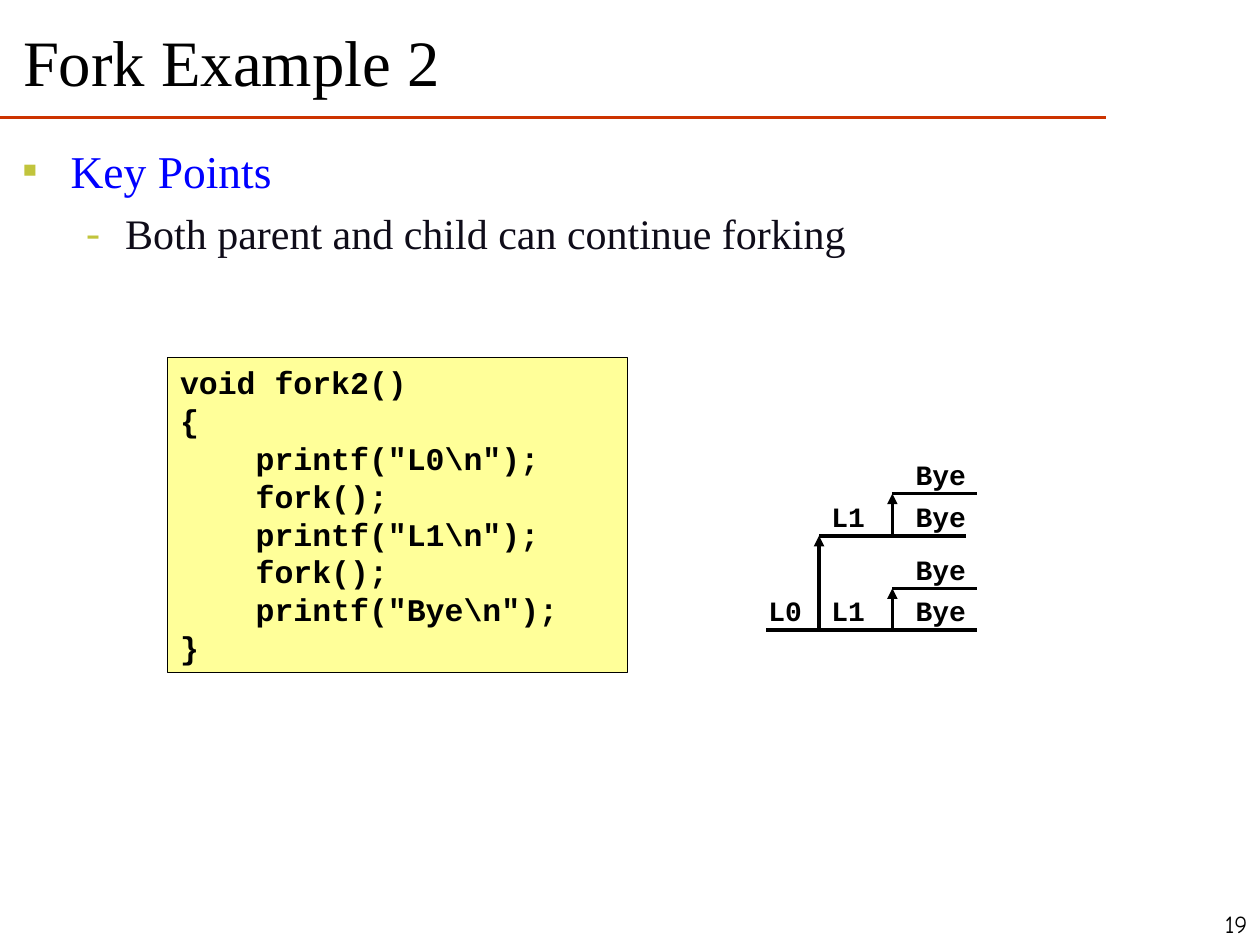
from lxml.etree import SubElement
from pptx import Presentation
from pptx.dml.color import RGBColor
from pptx.enum.shapes import MSO_CONNECTOR, MSO_SHAPE
from pptx.enum.text import MSO_ANCHOR, MSO_AUTO_SIZE, PP_ALIGN
from pptx.oxml.ns import qn
from pptx.util import Cm, Pt

BLACK = RGBColor(0x00, 0x00, 0x00)
BLUE = RGBColor(0x00, 0x00, 0xFF)
INK = RGBColor(0x0F, 0x0C, 0x19)
RED = RGBColor(0xCC, 0x33, 0x00)
OLIVE = RGBColor(0xC1, 0xC4, 0x3C)
YELLOW = RGBColor(0xFF, 0xFF, 0x99)

CODE = r"""void fork2()
{
    printf("L0\n");
    fork();
    printf("L1\n");
    fork();
    printf("Bye\n");
}"""


def style_text(frame, font_name, size, color=BLACK, bold=False, align=PP_ALIGN.LEFT):
    for para in frame.paragraphs:
        para.alignment = align
        for span in para.runs:
            span.font.name = font_name
            span.font.size = Pt(size)
            span.font.bold = bold
            span.font.color.rgb = color


def draw_line(x1, y1, x2, y2, color=BLACK, arrow=False):
    line = page.shapes.add_connector(
        MSO_CONNECTOR.STRAIGHT, Cm(x1), Cm(y1), Cm(x2), Cm(y2))
    line.line.color.rgb = color
    line.line.width = Pt(2)
    if arrow:
        SubElement(line.line._get_or_add_ln(), qn("a:tailEnd"), type="triangle")
    SubElement(line._element.spPr, qn("a:effectLst"))


deck = Presentation()
deck.slide_width, deck.slide_height = Cm(25.4), Cm(19.05)
page = deck.slides.add_slide(deck.slide_layouts[1])

# Title and the rule below it
title = page.shapes.title
title.left, title.top, title.width, title.height = Cm(0.21), Cm(0.49), Cm(24.56), Cm(1.65)
title.text_frame.text = "Fork Example 2"
title.text_frame.vertical_anchor = MSO_ANCHOR.BOTTOM
title.text_frame.auto_size = MSO_AUTO_SIZE.NONE
style_text(title.text_frame, "Times New Roman", 37)
draw_line(0, 2.37, 22.3, 2.37, RED)

# Bullet list
body = page.placeholders[1]
body.left, body.top, body.width, body.height = Cm(0.21), Cm(2.75), Cm(24.77), Cm(15.67)
body.text_frame.text = "Key Points\nBoth parent and child can continue forking"
body.text_frame.auto_size = MSO_AUTO_SIZE.NONE
style_text(body.text_frame, "Times New Roman", 24, INK)
bullets = [  # level, size, color, space before, margin, hanging, mark, mark size
    (0, 26, BLUE, 6.5, 0.96, 0.96, "■", 50),
    (1, 24, INK, 6, 2.06, 0.79, "-", 100),
]
for para, bullet in zip(body.text_frame.paragraphs, bullets):
    level, size, color, before, margin, hanging, mark, mark_size = bullet
    para.level = level
    para.space_before = Pt(before)
    para.runs[0].font.size = Pt(size)
    para.runs[0].font.color.rgb = color
    props = para._p.get_or_add_pPr()
    props.set("marL", str(Cm(margin)))
    props.set("indent", str(-Cm(hanging)))
    mark_color = SubElement(props, qn("a:buClr"))
    SubElement(mark_color, qn("a:srgbClr"), val=str(OLIVE))
    SubElement(props, qn("a:buSzPct"), val=str(mark_size * 1000))
    SubElement(props, qn("a:buFont"), typeface="Times New Roman")
    SubElement(props, qn("a:buChar"), char=mark)

# Code listing
listing = page.shapes.add_shape(
    MSO_SHAPE.RECTANGLE, Cm(3.38), Cm(7.2), Cm(9.27), Cm(6.35))
listing.shadow.inherit = False
listing.fill.solid()
listing.fill.fore_color.rgb = YELLOW
listing.line.color.rgb = BLACK
listing.line.width = Pt(0.25)
listing.text_frame.text = CODE
listing.text_frame.word_wrap = False
listing.text_frame.vertical_anchor = MSO_ANCHOR.TOP
style_text(listing.text_frame, "Courier New", 18, bold=True)

# Process graph: columns are the start, both forks and the end
START, FORK_1, FORK_2, END = 15.45, 16.51, 17.99, 19.69
PARENT, PARENT_CHILD, CHILD, GRANDCHILD = 12.7, 11.86, 10.8, 9.95
for x1, x2, y in [
    (START, FORK_1, PARENT),
    (FORK_1, FORK_2, PARENT),
    (FORK_2, END, PARENT),
    (FORK_2, END, PARENT_CHILD),
    (FORK_1, FORK_2, CHILD),
    (FORK_2, 19.47, CHILD),
    (FORK_2, END, GRANDCHILD),
]:
    draw_line(x1, y, x2, y)
for x, y1, y2 in [
    (FORK_1, PARENT, CHILD),
    (FORK_2, PARENT, PARENT_CHILD),
    (FORK_2, CHILD, GRANDCHILD),
]:
    draw_line(x, y1, x, y2, arrow=True)

# Output printed above each process line
for label, x, width, rows in [
    ("L0", 15.24, 1.2, [PARENT]),
    ("L1", 16.51, 1.2, [PARENT, CHILD]),
    ("Bye", 18.21, 1.54, [PARENT, PARENT_CHILD, CHILD, GRANDCHILD]),
]:
    for y in rows:
        box = page.shapes.add_textbox(Cm(x), Cm(y - 0.85), Cm(width), Cm(0.94))
        box.text_frame.text = label
        box.text_frame.word_wrap = False
        box.text_frame.auto_size = MSO_AUTO_SIZE.SHAPE_TO_FIT_TEXT
        style_text(box.text_frame, "Courier New", 16, bold=True)

# Page number
number = page.shapes.add_textbox(Cm(24.4), Cm(18.21), Cm(1), Cm(0.84))
number.text_frame.text = "19"
number.text_frame.word_wrap = False
number.text_frame.vertical_anchor = MSO_ANCHOR.MIDDLE
style_text(number.text_frame, "Comic Neue", 14, align=PP_ALIGN.RIGHT)

deck.save("out.pptx")
